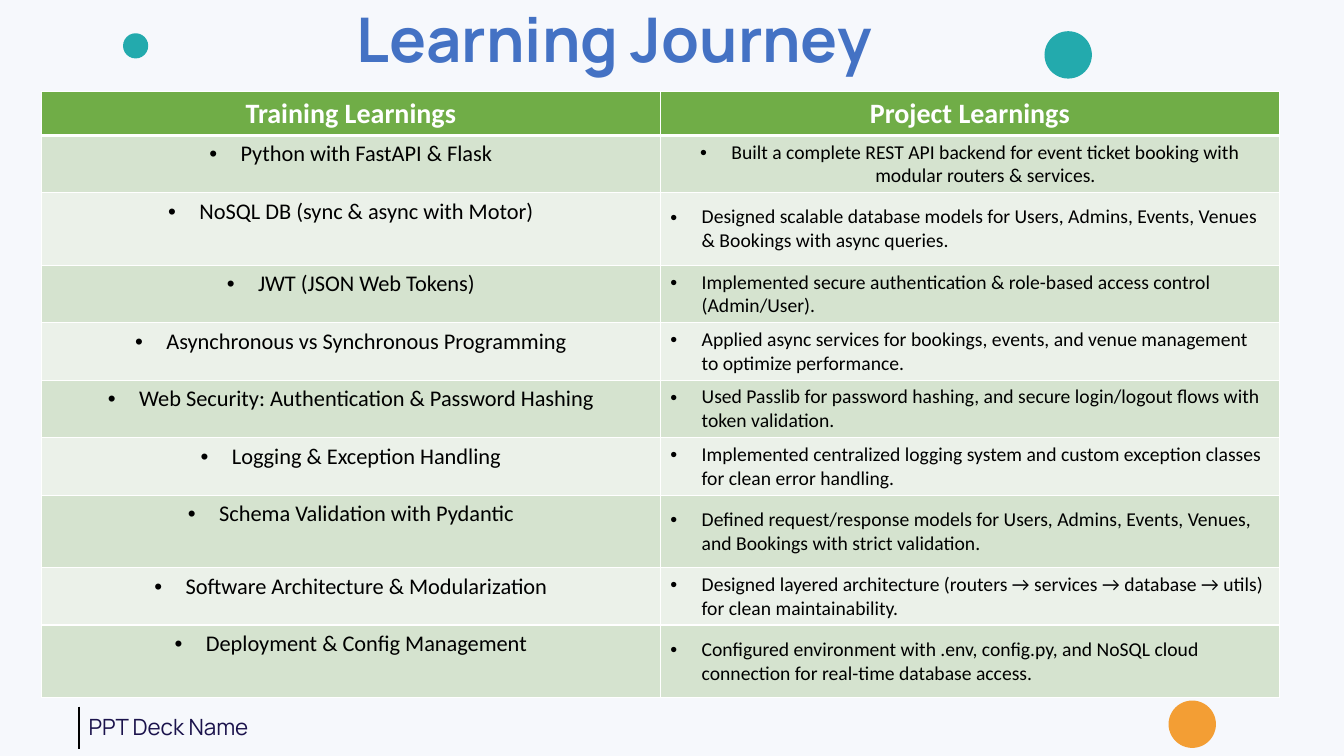
"""Builds the Learning Journey slide with its table of training and project learnings."""
from dataclasses import dataclass

from lxml.etree import SubElement
from pptx import Presentation
from pptx.dml.color import RGBColor
from pptx.enum.shapes import MSO_CONNECTOR, MSO_SHAPE
from pptx.enum.text import MSO_ANCHOR, PP_ALIGN
from pptx.oxml.ns import qn
from pptx.util import Inches, Pt

BLUE = RGBColor(0x44, 0x72, 0xC4)
NAVY = RGBColor(0x1B, 0x13, 0x4C)
TEAL = RGBColor(0x23, 0xAA, 0xAD)
ORANGE = RGBColor(0xF3, 0x9E, 0x34)
GREEN = RGBColor(0x70, 0xAD, 0x47)
BANDS = (RGBColor(0xD5, 0xE3, 0xCF), RGBColor(0xEB, 0xF1, 0xE9))
PALE = RGBColor(0xF6, 0xF8, 0xFC)
WHITE = RGBColor(0xFF, 0xFF, 0xFF)
BLACK = RGBColor(0, 0, 0)
HEADING_FONT = "Manrope"
TABLE_FONT = "Calibri"
HEADER_HEIGHT, ROW_HEIGHT, TALL_ROW_HEIGHT = 0.41, 0.57, 0.72


@dataclass(frozen=True)
class Learning:
    training: str
    project: str
    tall: bool = False
    project_align: PP_ALIGN = PP_ALIGN.LEFT


@dataclass(frozen=True)
class Dot:
    left: float
    top: float
    size: float
    color: RGBColor


HEADERS = ("Training Learnings", "Project Learnings")
LEARNINGS = (
    Learning("Python with FastAPI & Flask",
             "Built a complete REST API backend for event ticket booking with modular routers & services.",
             project_align=PP_ALIGN.CENTER),
    Learning("NoSQL DB (sync & async with Motor)",
             "Designed scalable database models for Users, Admins, Events, Venues & Bookings with async queries.",
             tall=True),
    Learning("JWT (JSON Web Tokens)",
             "Implemented secure authentication & role-based access control (Admin/User)."),
    Learning("Asynchronous vs Synchronous Programming",
             "Applied async services for bookings, events, and venue management to optimize performance."),
    Learning("Web Security: Authentication & Password Hashing",
             "Used Passlib for password hashing, and secure login/logout flows with token validation."),
    Learning("Logging & Exception Handling",
             "Implemented centralized logging system and custom exception classes for clean error handling."),
    Learning("Schema Validation with Pydantic",
             "Defined request/response models for Users, Admins, Events, Venues, and Bookings with strict validation.",
             tall=True),
    Learning("Software Architecture & Modularization",
             "Designed layered architecture (routers → services → database → utils) for clean maintainability."),
    Learning("Deployment & Config Management",
             "Configured environment with .env, config.py, and NoSQL cloud connection for real-time database access.",
             tall=True),
)
DOTS = (
    Dot(10.36, 0.31, 0.47, TEAL),
    Dot(11.59, 6.95, 0.47, ORANGE),
    Dot(1.22, 0.33, 0.25, TEAL),
)


def add_span(para, text: str, font: str, size: float, color: RGBColor, bold: bool = False) -> None:
    span = para.add_run()
    span.text = text
    span.font.name = font
    span.font.size = Pt(size)
    span.font.color.rgb = color
    span.font.bold = bold


def add_bullet(para) -> None:
    properties = para._p.get_or_add_pPr()
    properties.set("marL", str(Inches(0.31)))
    properties.set("indent", str(-Inches(0.31)))
    SubElement(properties, qn("a:buFont")).set("typeface", "Arial")
    SubElement(properties, qn("a:buChar")).set("char", "•")


def add_borders(cell, bottom: float) -> None:
    properties = cell._tc.get_or_add_tcPr()
    for side, width in (("L", 1), ("R", 1), ("T", 1), ("B", bottom)):
        line = SubElement(properties, qn(f"a:ln{side}"), w=str(Pt(width)))
        fill = SubElement(line, qn("a:solidFill"))
        SubElement(fill, qn("a:srgbClr")).set("val", str(WHITE))


def fill_cell(cell, text: str, fill: RGBColor, size: float, align: PP_ALIGN,
              anchor: MSO_ANCHOR = MSO_ANCHOR.TOP, header: bool = False) -> None:
    add_borders(cell, 3 if header else 1)
    cell.fill.solid()
    cell.fill.fore_color.rgb = fill
    cell.vertical_anchor = anchor
    para = cell.text_frame.paragraphs[0]
    para.alignment = align
    if not header:
        add_bullet(para)
    add_span(para, text, TABLE_FONT, size, WHITE if header else BLACK, header)


def add_title(page) -> None:
    title = page.shapes.title
    title.left, title.top = Inches(3.44), Inches(0.07)
    title.width, title.height = Inches(11.5), Inches(0.71)
    title.text_frame.vertical_anchor = MSO_ANCHOR.MIDDLE
    para = title.text_frame.paragraphs[0]
    para.alignment = PP_ALIGN.LEFT
    para.line_spacing = 0.9
    add_span(para, "Learning Journey", HEADING_FONT, 44, BLUE, True)


def add_footer(page) -> None:
    box = page.shapes.add_textbox(Inches(0.78), Inches(7.03), Inches(4.79), Inches(0.37))
    box.text_frame.word_wrap = True
    add_span(box.text_frame.paragraphs[0], "PPT Deck Name", HEADING_FONT, 16, NAVY)
    rule = page.shapes.add_connector(
        MSO_CONNECTOR.STRAIGHT, Inches(0.78), Inches(7.01), Inches(0.78), Inches(7.43))
    rule.line.color.rgb = BLACK
    rule.line.width = Pt(1.5)
    SubElement(rule._element.spPr, qn("a:effectLst"))


def add_learnings(page) -> None:
    heights = [HEADER_HEIGHT] + [TALL_ROW_HEIGHT if item.tall else ROW_HEIGHT for item in LEARNINGS]
    table = page.shapes.add_table(
        len(heights), len(HEADERS), Inches(0.41), Inches(0.91), Inches(12.28), Inches(sum(heights))).table
    for row, height in zip(table.rows, heights):
        row.height = Inches(height)
    for column, header in enumerate(HEADERS):
        anchor = MSO_ANCHOR.TOP if column else MSO_ANCHOR.MIDDLE
        fill_cell(table.cell(0, column), header, GREEN, 20, PP_ALIGN.CENTER, anchor, header=True)
    for index, item in enumerate(LEARNINGS):
        band = BANDS[index % 2]
        anchor = MSO_ANCHOR.MIDDLE if item.tall else MSO_ANCHOR.TOP
        fill_cell(table.cell(index + 1, 0), item.training, band, 16, PP_ALIGN.CENTER)
        fill_cell(table.cell(index + 1, 1), item.project, band, 14, item.project_align, anchor)


def add_dot(page, dot: Dot) -> None:
    shape = page.shapes.add_shape(
        MSO_SHAPE.FLOWCHART_CONNECTOR, Inches(dot.left), Inches(dot.top), Inches(dot.size), Inches(dot.size))
    shape.shadow.inherit = False
    shape.fill.solid()
    shape.fill.fore_color.rgb = dot.color
    shape.line.fill.background()


def main() -> None:
    deck = Presentation()
    deck.slide_width, deck.slide_height = Inches(13.33), Inches(7.5)
    page = deck.slides.add_slide(deck.slide_layouts[5])
    page.background.fill.solid()
    page.background.fill.fore_color.rgb = PALE
    add_title(page)
    add_footer(page)
    add_learnings(page)
    for dot in DOTS:
        add_dot(page, dot)
    deck.save("out.pptx")


if __name__ == "__main__":
    main()
